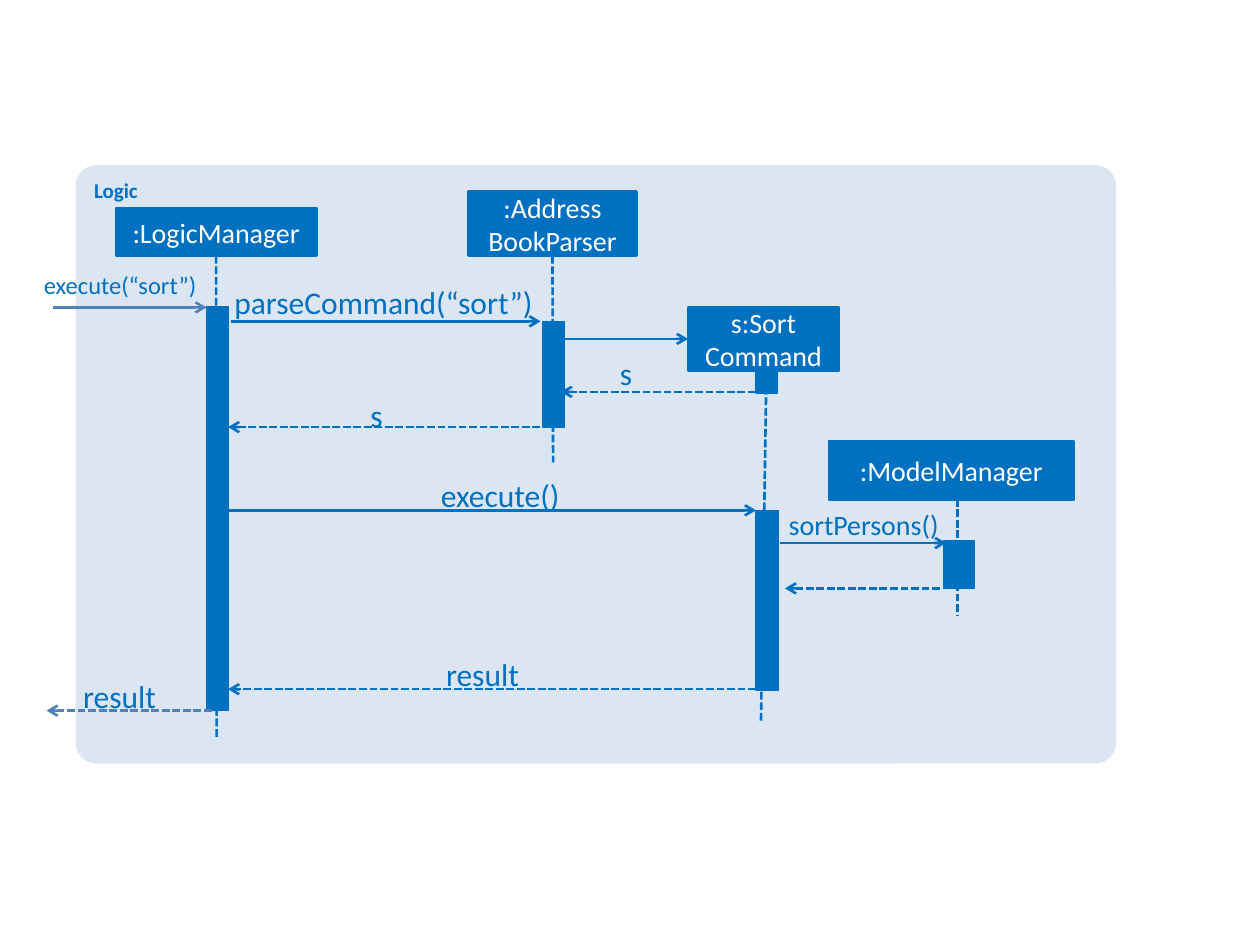
from pptx import Presentation
from pptx.dml.color import RGBColor
from pptx.enum.dml import MSO_LINE
from pptx.enum.shapes import MSO_CONNECTOR, MSO_SHAPE
from pptx.enum.text import MSO_ANCHOR, MSO_AUTO_SIZE, PP_ALIGN
from pptx.oxml.ns import qn
from pptx.util import Inches, Pt
from lxml.etree import SubElement

THEME = {
    "font": "Calibri", "blue": "0070C0", "outer": "4F81BD",
    "panel": "DCE6F2", "white": "FFFFFF",
    "title": 12, "small": 14, "head": 16, "label": 18,
    "line": 1.5, "bar_line": 0.75,
}

PANEL = ("Logic", (0.6, 1.31, 8.26, 4.75))

# name: text, box
HEADS = {
    "logic": (":LogicManager", (0.92, 1.65, 1.59, 0.38)),
    "parser": (":Address\nBookParser", (3.72, 1.52, 1.33, 0.51)),
    "model": (":ModelManager", (6.58, 3.5, 1.94, 0.47)),
    "command": ("s:Sort\vCommand", (5.46, 2.44, 1.2, 0.5)),
}

# name: box
BARS = {
    "logic": (1.64, 2.43, 0.17, 3.21),
    "parser": (4.31, 2.55, 0.17, 0.84),
    "create": (6, 2.82, 0.17, 0.3),
    "execute": (6, 4.05, 0.18, 1.43),
    "model": (7.49, 4.29, 0.24, 0.38),
}

# start, end, (shape the line starts from, connection site)
LIFELINES = [
    ((1.72, 2.05), (1.72, 5.86), ("head", "logic", 2)),
    ((4.39, 2.05), (4.39, 3.67), ("head", "parser", 2)),
    ((6.08, 2.82), (6.04, 5.72), ("bar", "create", 0)),
    ((7.6, 3.96), (7.6, 4.88), None),
]

# from x, to x, y, colour
CALLS = [
    (0.42, 1.64, 2.44, "outer"),
    (1.83, 4.29, 2.55, "blue"),
    (1.81, 6, 4.05, "blue"),
    (6.19, 7.51, 4.31, "blue"),
]
CREATE_CALL = (4.48, 5.46, 2.69, "blue")
RETURNS = [
    (6.08, 4.45, 3.11, "blue"),
    (4.37, 1.81, 3.39, "blue"),
    (7.46, 6.23, 4.67, "blue"),
    (6, 1.81, 5.47, "blue"),
    (1.68, 0.37, 5.64, "outer"),
]

# text, box, size, alignment
LABELS = [
    ("execute(“sort”)", (0, 2.14, 1.56, 0.24), "small", PP_ALIGN.RIGHT),
    ("parseCommand(“sort”)", (1.86, 2.25, 2.42, 0.3), "label", PP_ALIGN.LEFT),
    ("s", (4.92, 2.81, 0.24, 0.3), "label", PP_ALIGN.LEFT),
    ("s", (2.94, 3.14, 0.24, 0.3), "label", PP_ALIGN.LEFT),
    ("execute()", (3.5, 3.78, 1.17, 0.3), "label", PP_ALIGN.LEFT),
    ("sortPersons()", (6.26, 4.03, 1.26, 0.27), "head", PP_ALIGN.LEFT),
    ("result", (3.54, 5.2, 0.68, 0.3), "label", PP_ALIGN.LEFT),
    ("result", (0.66, 5.37, 0.83, 0.3), "label", PP_ALIGN.LEFT),
]


def color(name):
    return RGBColor.from_string(THEME[name])


def write(tf, text, size="label", fill="blue", bold=False,
          align=PP_ALIGN.LEFT, anchor=MSO_ANCHOR.TOP):
    tf.word_wrap = True
    tf.vertical_anchor = anchor
    tf.text = text
    for p in tf.paragraphs:
        p.alignment = align
        for r in p.runs:
            r.font.name = THEME["font"]
            r.font.size = Pt(THEME[size])
            r.font.bold = bold
            r.font.color.rgb = color(fill)


def add_box(s, box, fill="blue", line=None, kind=MSO_SHAPE.RECTANGLE):
    sp = s.shapes.add_shape(kind, *map(Inches, box))
    sp.shadow.inherit = False
    sp.fill.solid()
    sp.fill.fore_color.rgb = color(fill)
    if line:
        sp.line.color.rgb = color(fill)
        sp.line.width = Pt(THEME[line])
    else:
        sp.line.fill.background()
    return sp


def add_line(s, start, end, stroke="blue", dashed=False, arrow=False):
    line = s.shapes.add_connector(
        MSO_CONNECTOR.STRAIGHT, *map(Inches, (*start, *end)))
    line.line.color.rgb = color(stroke)
    line.line.width = Pt(THEME["line"])
    if dashed:
        line.line.dash_style = MSO_LINE.SQUARE_DOT
    if arrow:
        SubElement(line.line._get_or_add_ln(), qn("a:tailEnd"), type="arrow")
    SubElement(line._element.spPr, qn("a:effectLst"))
    return line


def add_message(s, message, dashed=False):
    x1, x2, y, stroke = message
    return add_line(s, (x1, y), (x2, y), stroke, dashed, arrow=True)


def add_label(s, text, box, size, align):
    tf = s.shapes.add_textbox(*map(Inches, box)).text_frame
    tf.margin_left = tf.margin_right = tf.margin_top = tf.margin_bottom = 0
    write(tf, text, size=size, align=align)
    tf.auto_size = MSO_AUTO_SIZE.SHAPE_TO_FIT_TEXT


def main():
    prs = Presentation()
    prs.slide_width, prs.slide_height = Inches(10), Inches(7.5)
    s = prs.slides.add_slide(prs.slide_layouts[6])

    title, box = PANEL
    panel = add_box(s, box, fill="panel", kind=MSO_SHAPE.ROUNDED_RECTANGLE)
    panel.adjustments[0] = 0.035
    write(panel.text_frame, title, size="title", bold=True)

    # Lifelines lie behind the bars and heads, so they are joined afterwards.
    lifelines = [add_line(s, start, end, dashed=True)
                 for start, end, _ in LIFELINES]
    shapes = {("bar", name): add_box(s, box, line="bar_line")
              for name, box in BARS.items()}
    for name, (text, box) in HEADS.items():
        head = shapes["head", name] = add_box(s, box, line="line")
        write(head.text_frame, text, size="head", fill="white",
              align=PP_ALIGN.CENTER, anchor=MSO_ANCHOR.MIDDLE)
    for line, (_, _, joint) in zip(lifelines, LIFELINES):
        if joint:
            kind, name, site = joint
            line.begin_connect(shapes[kind, name], site)

    for message in CALLS:
        add_message(s, message)
    add_message(s, CREATE_CALL).end_connect(shapes["head", "command"], 1)
    for message in RETURNS:
        add_message(s, message, dashed=True)
    for label in LABELS:
        add_label(s, *label)

    prs.save("out.pptx")


if __name__ == "__main__":
    main()
